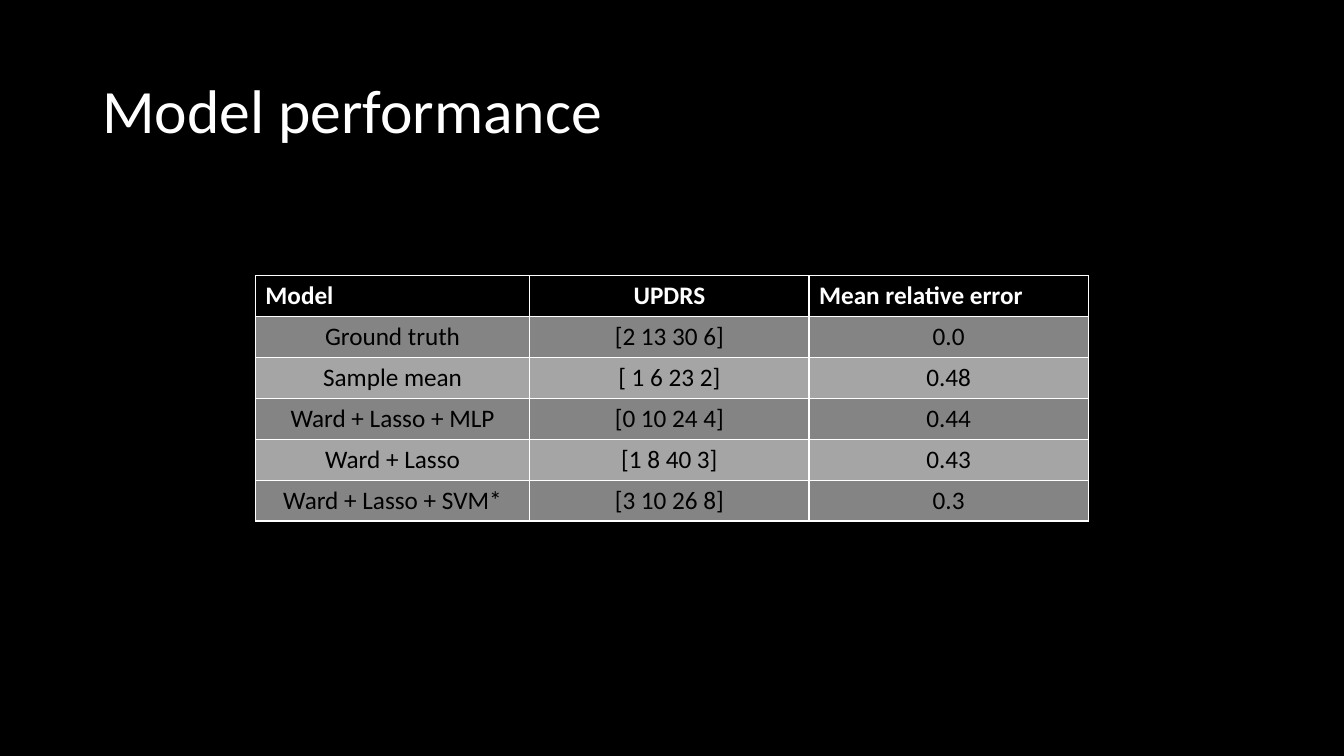
from lxml import etree
from pptx import Presentation
from pptx.dml.color import RGBColor
from pptx.enum import text
from pptx.oxml.ns import qn
from pptx.util import Pt

TITLE = "Model performance"
HEADER = ("Model", "UPDRS", "Mean relative error")
RESULTS = [
    ("Ground truth", "[2 13 30 6]", "0.0"),
    ("Sample mean", "[ 1 6 23 2]", "0.48"),
    ("Ward + Lasso + MLP", "[0 10 24 4]", "0.44"),
    ("Ward + Lasso", "[1 8 40 3]", "0.43"),
    ("Ward + Lasso + SVM*", "[3 10 26 8]", "0.3"),
]
FONT = "Calibri"
BLACK, WHITE = "000000", "FFFFFF"
BANDS = ("848484", "A5A5A5")
LEFT, TOP, ROW_H = 182.4, 197, 29.2
COL_W = (196, 199.5, 199.5)
LEFT_AL, CENTER = text.PP_ALIGN.LEFT, text.PP_ALIGN.CENTER


def paint(fill, color):
    """Give a fill one solid colour."""
    fill.solid()
    fill.fore_color.rgb = RGBColor.from_string(color)


def write(tf, words, size, color, bold=False, align=LEFT_AL):
    """Write one run into the first paragraph and return the paragraph."""
    p = tf.paragraphs[0]
    p.alignment = align
    r = p.add_run()
    r.text = words
    r.font.name, r.font.size, r.font.bold = FONT, Pt(size), bold
    r.font.color.rgb = RGBColor.from_string(color)
    return p


def border(cell, color, width):
    """Draw a line on all four sides of a cell, ahead of its fill."""
    props = cell._tc.get_or_add_tcPr()
    for i, side in enumerate(("a:lnL", "a:lnR", "a:lnT", "a:lnB")):
        ln = etree.Element(qn(side), w=str(Pt(width)))
        solid = etree.SubElement(ln, qn("a:solidFill"))
        etree.SubElement(solid, qn("a:srgbClr"), val=color)
        props.insert(i, ln)


def add_title(s):
    """Add the slide title."""
    tf = s.shapes.add_textbox(Pt(66), Pt(28.75), Pt(828), Pt(104.4)).text_frame
    tf.word_wrap = True
    tf.vertical_anchor = text.MSO_ANCHOR.MIDDLE
    write(tf, TITLE, 44, WHITE).line_spacing = 0.9


def add_results(s):
    """Add the table of models, scores and errors."""
    rows = [HEADER, *RESULTS]
    table = s.shapes.add_table(len(rows), len(COL_W), Pt(LEFT), Pt(TOP),
                               Pt(sum(COL_W)), Pt(ROW_H * len(rows))).table
    for column, width in zip(table.columns, COL_W):
        column.width = Pt(width)
    for i, row in enumerate(rows):
        table.rows[i].height = Pt(ROW_H)
        head = i == 0
        for j, words in enumerate(row):
            cell = table.cell(i, j)
            paint(cell.fill, BLACK if head else BANDS[(i - 1) % 2])
            border(cell, WHITE, 1)
            align = LEFT_AL if head and j != 1 else CENTER
            write(cell.text_frame, words, 18, WHITE if head else BLACK, head, align)


prs = Presentation()
prs.slide_width, prs.slide_height = Pt(960), Pt(540)
s = prs.slides.add_slide(prs.slide_layouts[6])
paint(s.background.fill, BLACK)
add_title(s)
add_results(s)
prs.save("out.pptx")
